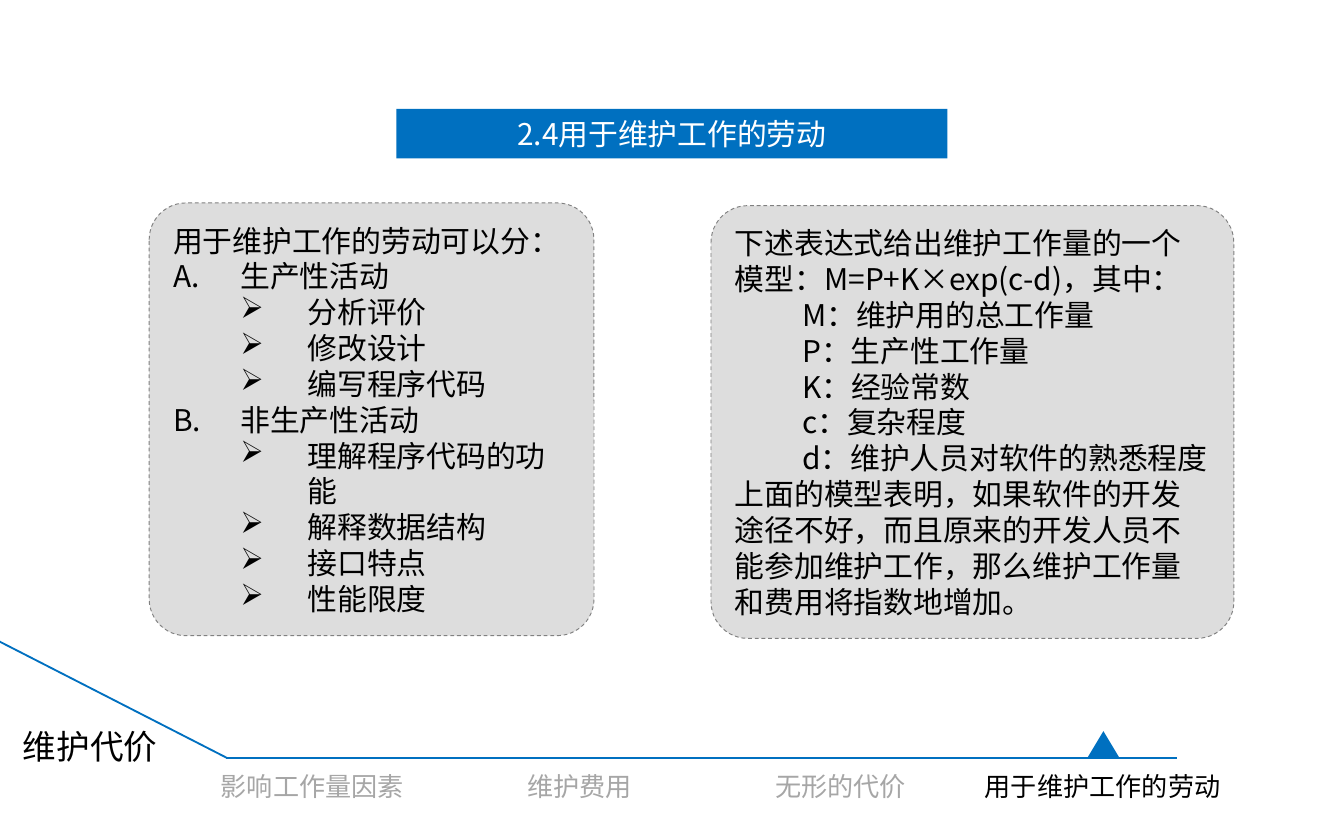
import pptx
import pptx.dml.color
import pptx.enum.dml
import pptx.enum.shapes
import pptx.enum.text
import pptx.oxml.ns
import pptx.util
from dataclasses import dataclass
from lxml import etree
from pptx.util import Inches

SHAPE = pptx.enum.shapes.MSO_SHAPE
ALIGN = pptx.enum.text.PP_ALIGN
ANCHOR = pptx.enum.text.MSO_ANCHOR


@dataclass(frozen=True)
class Theme:
    blue: str = "0070C0"
    panel: str = "DDDDDD"
    border: str = "808080"
    muted: str = "A6A6A6"
    black: str = "000000"
    white: str = "FFFFFF"
    latin: str = "Lato"
    body: str = "Noto Sans CJK SC"
    section_size: int = 18
    body_size: int = 16
    tab_size: int = 14


THEME = Theme()

TITLE = "2.4用于维护工作的劳动"
SECTION = "维护代价"

# Tabs: text, left, width, colour
TABS = [
    ("影响工作量因素", 1.46, 1.73, THEME.muted),
    ("维护费用", 3.16, 2.31, THEME.muted),
    ("无形的代价", 5.47, 1.57, THEME.muted),
    ("用于维护工作的劳动", 7.05, 2.31, THEME.black),
]

# Panels: left, top, width, height and paragraphs of (style, text)
PANELS = [
    ((1.11, 1.51, 3.31, 3.22), [
        ("plain", "用于维护工作的劳动可以分："),
        ("letter", "生产性活动"),
        ("arrow", "分析评价"),
        ("arrow", "修改设计"),
        ("arrow", "编写程序代码"),
        ("letter", "非生产性活动"),
        ("arrow", "理解程序代码的功能"),
        ("arrow", "解释数据结构"),
        ("arrow", "接口特点"),
        ("arrow", "性能限度"),
    ]),
    ((5.29, 1.53, 3.89, 3.22), [
        ("plain", "下述表达式给出维护工作量的一个模型：M=P+K×exp(c-d)，其中："),
        ("indent", "M：维护用的总工作量"),
        ("indent", "P：生产性工作量"),
        ("indent", "K：经验常数"),
        ("indent", "c：复杂程度"),
        ("indent", "d：维护人员对软件的熟悉程度"),
        ("plain", "上面的模型表明，如果软件的开发途径不好，而且原来的开发人员不能参加"
                  "维护工作，那么维护工作量和费用将指数地增加。"),
    ]),
]

# Paragraph styles: level, left margin, first-line indent, bullet tag and attributes
STYLES = {
    "plain": (0, 0, 0, None),
    "indent": (1, 0.5, 0, None),
    "letter": (0, 0.5, -0.5, ("a:buAutoNum", {"type": "alphaUcPeriod"})),
    "arrow": (1, 1, -0.5, ("a:buChar", {"char": "➢"})),
}


def rgb(colour):
    return pptx.dml.color.RGBColor.from_string(colour)


def add_child(parent, tag, **attributes):
    return etree.SubElement(parent, pptx.oxml.ns.qn(tag), attributes)


def set_font(para, face, size, colour):
    font = para.font
    font.size = pptx.util.Pt(size)
    font.color.rgb = rgb(colour)
    font.name = face
    add_child(para._p.pPr.find(pptx.oxml.ns.qn("a:defRPr")), "a:ea", typeface=face)


def apply_style(para, style):
    level, margin, indent, bullet = STYLES[style]
    para.level = level
    properties = para._p.get_or_add_pPr()
    properties.set("marL", str(Inches(margin)))
    properties.set("indent", str(Inches(indent)))
    if bullet:
        add_child(properties, bullet[0], **bullet[1])


def paint(shape, colour):
    shape.shadow.inherit = False
    shape.fill.solid()
    shape.fill.fore_color.rgb = rgb(colour)
    shape.line.fill.background()


def add_shape(slide, kind, bounds, colour):
    shape = slide.shapes.add_shape(kind, *map(Inches, bounds))
    paint(shape, colour)
    return shape


def add_label(slide, bounds, text, size, colour):
    frame = slide.shapes.add_textbox(*map(Inches, bounds)).text_frame
    frame.word_wrap = True
    para = frame.paragraphs[0]
    para.text = text
    para.alignment = ALIGN.CENTER
    set_font(para, THEME.latin, size, colour)


def add_line(slide, start, end):
    line = slide.shapes.add_connector(
        pptx.enum.shapes.MSO_CONNECTOR.STRAIGHT, *map(Inches, start + end))
    line.line.color.rgb = rgb(THEME.blue)
    line.line.width = pptx.util.Pt(1)
    add_child(line._element.spPr, "a:effectLst")


def bezier(points, steps=32):
    """Return points along a cubic curve, without its start."""
    weights = [((1 - t) ** 3, 3 * t * (1 - t) ** 2, 3 * t * t * (1 - t), t ** 3)
               for t in (step / steps for step in range(1, steps + 1))]
    return [tuple(sum(w * point[axis] for w, point in zip(row, points))
                  for axis in (0, 1)) for row in weights]


def add_title(slide):
    left, right, top, bottom = 3, 6.86, 1.04, 1.33
    curve = bezier([(right, bottom), (5.22, 1.12), (5.23, 1.04), (left, bottom)])
    builder = slide.shapes.build_freeform(left, top, scale=Inches(1))
    builder.add_line_segments([(right, top), (right, bottom)] + curve, close=True)
    fold = builder.convert_to_shape()
    paint(fold, THEME.panel)
    fill = fold._element.spPr.find(pptx.oxml.ns.qn("a:solidFill"))
    add_child(fill[0], "a:alpha", val="80000")

    banner = add_shape(slide, SHAPE.RECTANGLE, (2.95, 0.81, 4.1, 0.37), THEME.blue)
    banner.text_frame.vertical_anchor = ANCHOR.MIDDLE
    para = banner.text_frame.paragraphs[0]
    para.text = TITLE
    para.alignment = ALIGN.CENTER
    set_font(para, THEME.body, THEME.body_size, THEME.white)


def add_panel(slide, bounds, paragraphs):
    panel = add_shape(slide, SHAPE.ROUNDED_RECTANGLE, bounds, THEME.panel)
    panel.adjustments[0] = 0.085
    panel.line.color.rgb = rgb(THEME.border)
    panel.line.width = pptx.util.Pt(0.5)
    panel.line.dash_style = pptx.enum.dml.MSO_LINE.DASH
    frame = panel.text_frame
    frame.word_wrap = True
    frame.vertical_anchor = ANCHOR.MIDDLE
    for index, (style, text) in enumerate(paragraphs):
        para = frame.add_paragraph() if index else frame.paragraphs[0]
        para.text = text
        para.alignment = ALIGN.LEFT
        apply_style(para, style)
        set_font(para, THEME.body, THEME.body_size, THEME.black)


def main():
    deck = pptx.Presentation()
    deck.slide_width, deck.slide_height = Inches(10), Inches(6.25)
    slide = deck.slides.add_slide(deck.slide_layouts[6])

    add_line(slide, (-0.03, 4.76), (1.69, 5.64))
    add_line(slide, (1.68, 5.64), (8.76, 5.64))
    add_label(slide, (0.04, 5.35, 1.26, 0.4), SECTION, THEME.section_size, THEME.black)
    add_shape(slide, SHAPE.ISOSCELES_TRIANGLE, (8.09, 5.44, 0.24, 0.2), THEME.blue)
    for text, left, width, colour in TABS:
        add_label(slide, (left, 5.68, width, 0.34), text, THEME.tab_size, colour)
    add_title(slide)
    for bounds, paragraphs in PANELS:
        add_panel(slide, bounds, paragraphs)
    deck.save("out.pptx")


if __name__ == "__main__":
    main()
